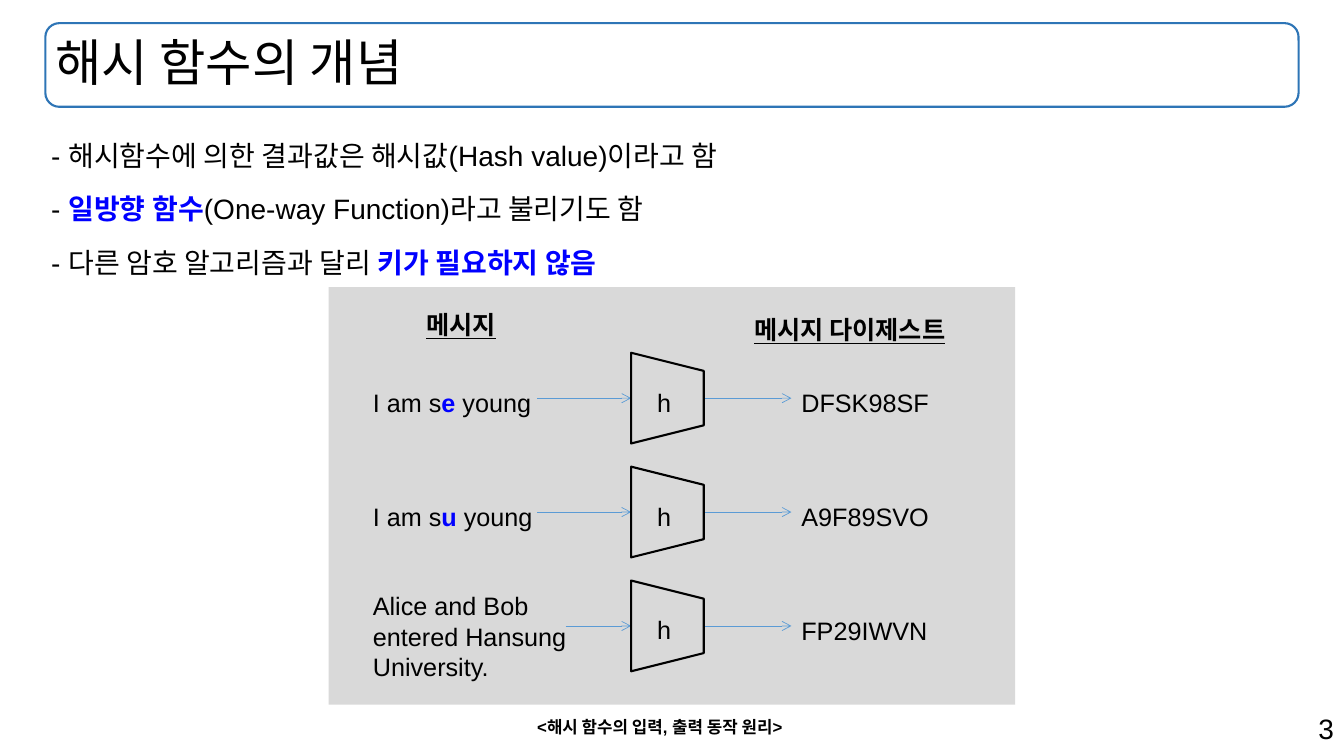
from dataclasses import dataclass

from lxml import etree
from pptx import Presentation
from pptx import util as u
from pptx.dml.color import RGBColor
from pptx.enum import shapes, text
from pptx.oxml.ns import qn

SLIDE_COLS, SLIDE_ROWS = 133.3, 75
CELL = u.Inches(0.1)
BLACK, BLUE, SKY, NAVY, GREY = "000000", "0000FF", "5B9BD5", "2E75B6", "D9D9D9"
HASH_LEFT, HASH_RIGHT, DIGEST_LEFT = 62.6, 69.8, 78.5
FIRST_ROW, ROW_STEP = 39.5, 11.3


@dataclass(frozen=True)
class Box:
    col: float
    row: float
    cols: float
    rows: float

    def emu(self) -> tuple[int, ...]:
        return tuple(cells(n) for n in (self.col, self.row, self.cols, self.rows))


@dataclass(frozen=True)
class HashExample:
    message: str
    digest: str
    arrow_start: float = 53.3
    message_cols: float = 19.3
    message_rise: float = 1.6
    message_rows: float = 3.9


@dataclass(frozen=True)
class Label:
    content: str
    box: Box
    size: int = 18
    underline: bool = False
    wrap: bool = True


TITLE_BOX = Box(4.5, 2.3, 124.3, 8.3)
POINTS = [
    "- 해시함수에 의한 결과값은 해시값(Hash value)이라고 함",
    "- *일방향 함수*(One-way Function)라고 불리기도 함",
    "- 다른 암호 알고리즘과 달리 *키가 필요하지 않음*",
]
EXAMPLES = [
    HashExample("I am s*e* young", "DFSK98SF"),
    HashExample("I am s*u* young", "A9F89SVO"),
    HashExample("Alice and Bob entered Hansung University.", "FP29IWVN",
                56.1, 23.6, 4, 9.9),
]
LABELS = [
    Label("메시지", Box(41.3, 30.2, 10.4, 4), underline=True),
    Label("메시지 다이제스트", Box(73.8, 30.7, 23.5, 3.9), underline=True),
    Label("<해시 함수의 입력, 출력 동작 원리>", Box(52.3, 70.6, 28.8, 3),
          size=12, wrap=False),
]


def cells(n: float) -> int:
    return round(n * CELL)


def rgb(value: str) -> RGBColor:
    return RGBColor.from_string(value)


def write(tf, *lines: str, size: float = 18, bold: bool = False,
          underline: bool = False, align=text.PP_ALIGN.LEFT,
          spacing: float = 1.0, wrap: bool = True,
          anchor=text.MSO_ANCHOR.TOP) -> None:
    tf.word_wrap = wrap
    tf.vertical_anchor = anchor
    for i, line in enumerate(lines):
        p = tf.add_paragraph() if i else tf.paragraphs[0]
        p.alignment = align
        p.line_spacing = spacing
        p.space_before = u.Pt(0)
        for j, part in enumerate(line.split("*")):
            if not part:
                continue
            key_word = j % 2 == 1
            r = p.add_run()
            r.text = part
            r.font.name = "Arial"
            r.font.size = u.Pt(size)
            r.font.bold = bold or key_word
            r.font.underline = underline
            r.font.color.rgb = rgb(BLUE if key_word else BLACK)


def add_text(slide, box: Box, *lines: str, **fmt) -> None:
    write(slide.shapes.add_textbox(*box.emu()).text_frame, *lines, **fmt)


def add_shape(slide, kind, box: Box, fill: str = "", line: str = ""):
    sp = slide.shapes.add_shape(kind, *box.emu())
    sp.shadow.inherit = False
    if fill:
        sp.fill.solid()
        sp.fill.fore_color.rgb = rgb(fill)
    else:
        sp.fill.background()
    if line:
        sp.line.color.rgb = rgb(line)
        sp.line.width = u.Pt(1.5)
    else:
        sp.line.fill.background()
    return sp


def add_arrow(slide, start: float, end: float, row: float) -> None:
    cxn = slide.shapes.add_connector(
        shapes.MSO_CONNECTOR.STRAIGHT, cells(start), cells(row), cells(end), cells(row))
    cxn.line.color.rgb = rgb(SKY)
    cxn.line.width = u.Pt(0.5)
    etree.SubElement(cxn.line._get_or_add_ln(), qn("a:tailEnd"), type="arrow")
    etree.SubElement(cxn._element.spPr, qn("a:effectLst"))


def add_example(slide, example: HashExample, row: float) -> None:
    add_arrow(slide, example.arrow_start, HASH_LEFT, row)
    add_arrow(slide, HASH_RIGHT, DIGEST_LEFT, row)
    add_text(slide, Box(DIGEST_LEFT, row - 1.6, 18.4, 3.9), example.digest)
    add_text(slide, Box(36, row - example.message_rise, example.message_cols,
                        example.message_rows), example.message)
    sp = add_shape(slide, shapes.MSO_SHAPE.TRAPEZOID,
                   Box(61.7, row - 3.6, 9, 7.2), line=BLACK)
    sp.rotation = 90
    sp.adjustments[0] = 0.25
    add_text(slide, Box(64.2, row - 1.6, 3.9, 4), "h")


def main() -> None:
    prs = Presentation()
    prs.slide_width, prs.slide_height = cells(SLIDE_COLS), cells(SLIDE_ROWS)
    slide = prs.slides.add_slide(prs.slide_layouts[5])

    title = slide.shapes.title
    title.left, title.top, title.width, title.height = TITLE_BOX.emu()
    write(title.text_frame, "해시 함수의 개념", size=36, spacing=0.9,
          anchor=text.MSO_ANCHOR.MIDDLE)
    add_shape(slide, shapes.MSO_SHAPE.ROUNDED_RECTANGLE, TITLE_BOX, line=NAVY)
    add_shape(slide, shapes.MSO_SHAPE.RECTANGLE, Box(32.6, 28.5, 68.1, 41.4), fill=GREY)
    add_text(slide, Box(4.1, 11.2, 125.2, 17.5), *POINTS, size=20, spacing=1.6,
             align=text.PP_ALIGN.JUSTIFY)

    for i, example in enumerate(EXAMPLES):
        add_example(slide, example, FIRST_ROW + i * ROW_STEP)
    for label in LABELS:
        add_text(slide, label.box, label.content, size=label.size, bold=True,
                 underline=label.underline, wrap=label.wrap)
    add_text(slide, Box(94.3, 70.1, 39, 4.4), "3", size=20, align=text.PP_ALIGN.RIGHT)

    prs.save("out.pptx")


if __name__ == "__main__":
    main()
